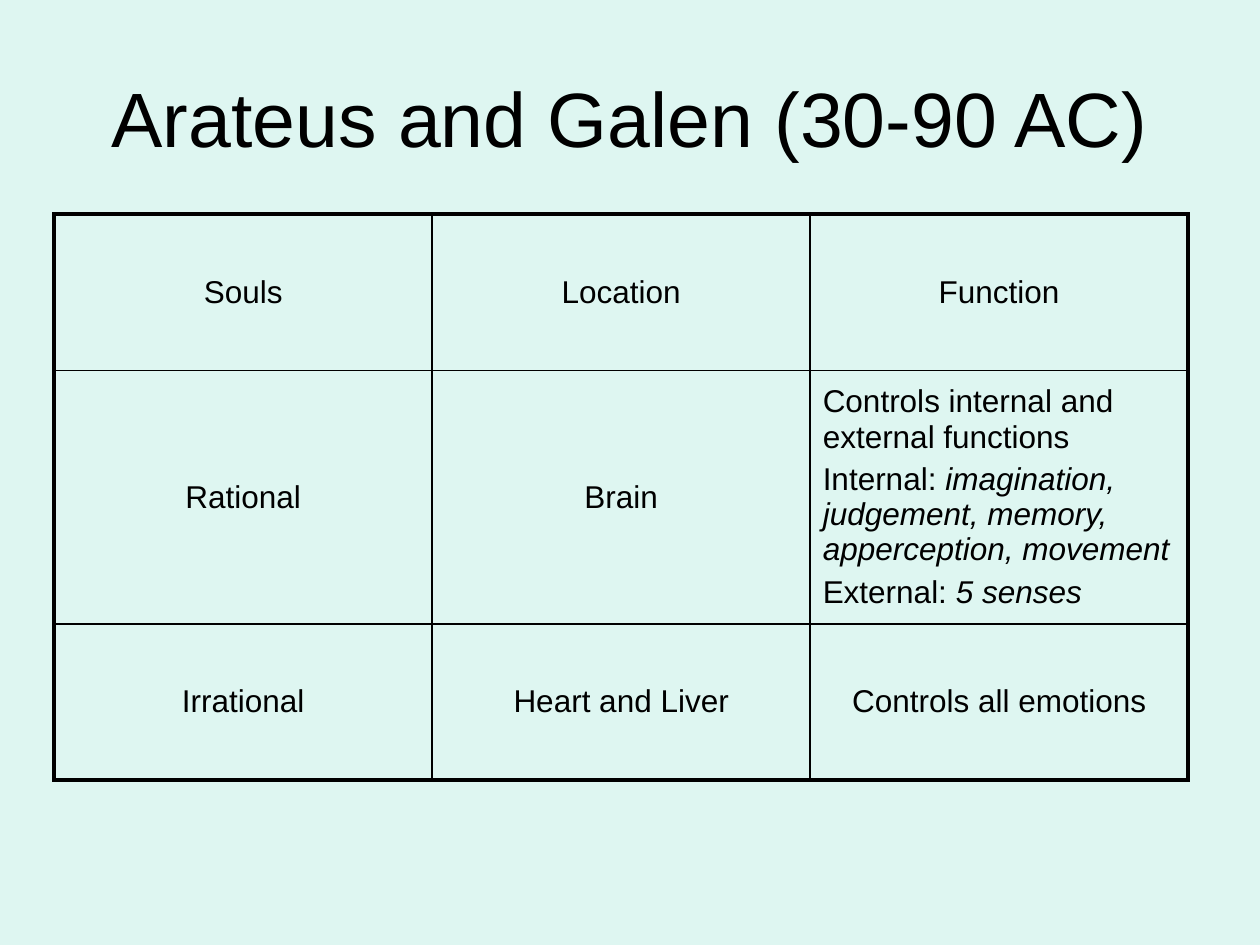
from lxml.etree import SubElement
from pptx import Presentation
from pptx.dml.color import RGBColor
from pptx.enum.text import MSO_ANCHOR, PP_ALIGN
from pptx.oxml.ns import qn
from pptx.util import Inches, Pt

COLORS = {"background": "DEF6F1", "ink": "000000"}
FONT = "Arial"
OUTER, INNER = Pt(2.25), Pt(1)

# Each cell is a list of paragraphs; each paragraph is (plain, italic) text
SOULS = [
    [[("Souls", "")], [("Location", "")], [("Function", "")]],
    [[("Rational", "")], [("Brain", "")], [
        ("Controls internal and external functions", ""),
        ("Internal: ", "imagination, judgement, memory, apperception, movement"),
        ("External: ", "5 senses"),
    ]],
    [[("Irrational", "")], [("Heart and Liver", "")], [("Controls all emotions", "")]],
]
ROW_HEIGHTS = [1.24, 1.88, 1.24]


def style(p, size, align):
    p.alignment = align
    p.font.name = FONT
    p.font.size = Pt(size)
    p.font.color.rgb = RGBColor.from_string(COLORS["ink"])


def add_title(slide, left, top, width, height, text):
    box = slide.shapes.add_textbox(Inches(left), Inches(top), Inches(width), Inches(height))
    tf = box.text_frame
    tf.word_wrap = True
    tf.vertical_anchor = MSO_ANCHOR.MIDDLE
    p = tf.paragraphs[0]
    p.text = text
    style(p, 44, PP_ALIGN.CENTER)


def set_borders(cell, widths):
    """Draw the borders; widths run left, right, top, bottom."""
    tc_pr = cell._tc.get_or_add_tcPr()
    for i, (side, width) in enumerate(zip("LRTB", widths)):
        ln = SubElement(tc_pr, qn(f"a:ln{side}"), w=str(int(width)))
        fill = SubElement(ln, qn("a:solidFill"))
        SubElement(fill, qn("a:srgbClr"), val=COLORS["ink"])
        tc_pr.insert(i, ln)  # borders come before the cell fill


def fill_cell(cell, paragraphs):
    cell.fill.background()
    cell.vertical_anchor = MSO_ANCHOR.MIDDLE
    tf = cell.text_frame
    align = PP_ALIGN.CENTER if len(paragraphs) == 1 else PP_ALIGN.LEFT
    for i, (plain, italic) in enumerate(paragraphs):
        p = tf.add_paragraph() if i else tf.paragraphs[0]
        p.add_run().text = plain
        if italic:
            r = p.add_run()
            r.text = italic
            r.font.italic = True
        style(p, 18, align)
        if i:
            p.space_before = Pt(4)


def add_souls_table(slide, left, top, width, rows):
    n_rows, n_cols = len(rows), len(rows[0])
    frame = slide.shapes.add_table(n_rows, n_cols, Inches(left), Inches(top),
                                   Inches(width), Inches(sum(ROW_HEIGHTS)))
    table = frame.table
    table.first_row = table.horz_banding = False
    for col in table.columns:
        col.width = Inches(width / n_cols)
    for row, height in zip(table.rows, ROW_HEIGHTS):
        row.height = Inches(height)
    for i, row in enumerate(rows):
        for j, paragraphs in enumerate(row):
            cell = table.cell(i, j)
            fill_cell(cell, paragraphs)
            on_edge = (j == 0, j == n_cols - 1, i == 0, i == n_rows - 1)
            set_borders(cell, [OUTER if edge else INNER for edge in on_edge])


def main():
    prs = Presentation()
    prs.slide_width, prs.slide_height = Inches(10), Inches(7.5)
    slide = prs.slides.add_slide(prs.slide_layouts[6])
    fill = slide.background.fill
    fill.solid()
    fill.fore_color.rgb = RGBColor.from_string(COLORS["background"])

    add_title(slide, 0.5, 0.3, 9, 1.25, "Arateus and Galen (30-90 AC)")
    add_souls_table(slide, 0.43, 1.7, 9, SOULS)
    prs.save("out.pptx")


if __name__ == "__main__":
    main()
